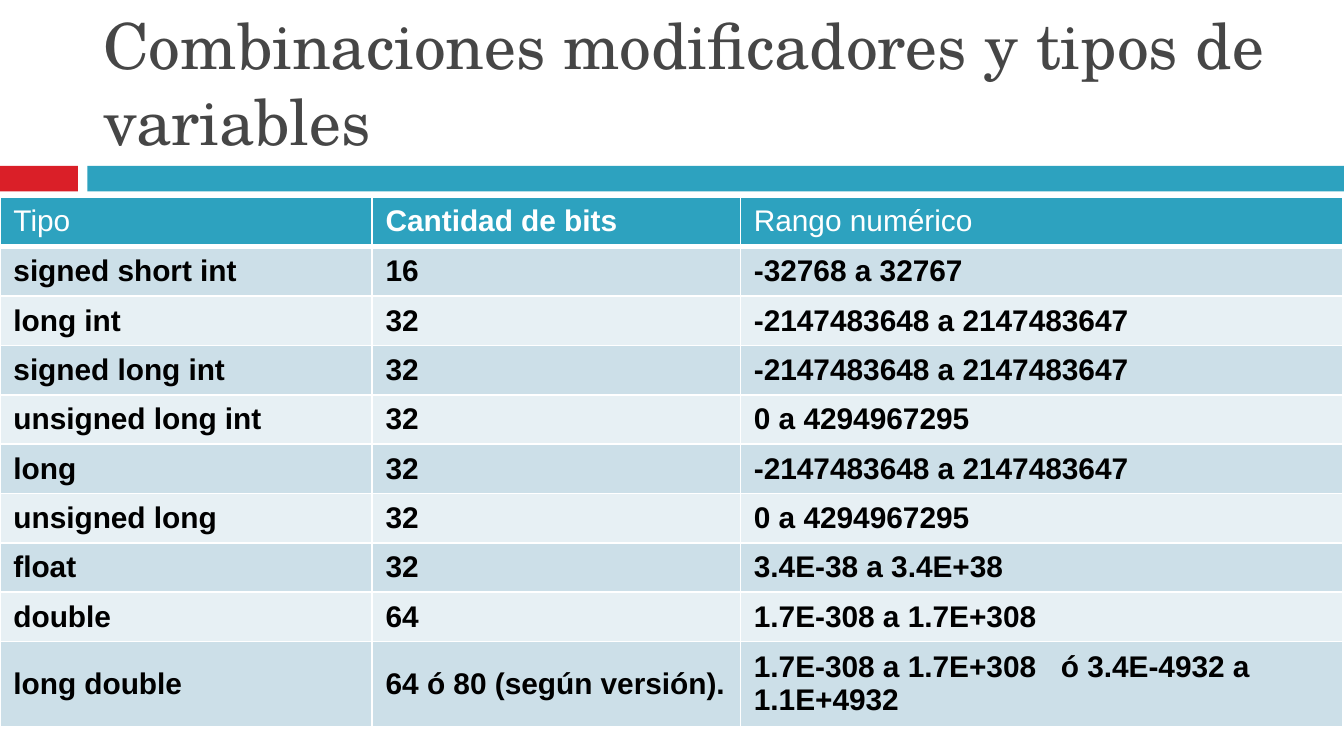
import pptx
import pptx.dml.color
import pptx.enum.shapes
import pptx.enum.text
import pptx.oxml
import pptx.oxml.ns
import pptx.util

Inches = pptx.util.Inches
Anchor = pptx.enum.text.MSO_ANCHOR

WIDTH = 10
HEIGHT = WIDTH * 9 / 16
RED, TEAL, WHITE, BLACK, GREY = "DA1F28", "2DA2BF", "FFFFFF", "000000", "464646"
BANDS = ("CCDFE8", "E7F0F4")

TITLE = "Combinaciones modificadores y tipos de variables"
HEADER = ("Tipo", "Cantidad de bits", "Rango numérico")
BOLD_HEADERS = {"Cantidad de bits"}
TYPES = [
    ("signed short int", "16", "-32768 a 32767"),
    ("long int", "32", "-2147483648 a 2147483647"),
    ("signed long int", "32", "-2147483648 a 2147483647"),
    ("unsigned long int", "32", "0 a 4294967295"),
    ("long", "32", "-2147483648 a 2147483647"),
    ("unsigned long", "32", "0 a 4294967295"),
    ("float", "32", "3.4E-38 a 3.4E+38"),
    ("double", "64", "1.7E-308 a 1.7E+308"),
    ("long double", "64 ó 80 (según versión).",
     "1.7E-308 a 1.7E+308   ó 3.4E-4932 a 1.1E+4932"),
]

BAR_TOP, BAR_HEIGHT = 1.235, 0.19
BARS = [(0, 0.58, RED), (0.65, WIDTH - 0.65, TEAL)]
TITLE_BOX = (0.67, 0.13, 8.92, 1.1)
TABLE_TOP = 1.47
TABLE_FRAME = 3.28
COLUMNS = (2.77, 2.74, 4.48)
ROWS = [0.34] * len(TYPES) + [0.6]


def color(value):
    return pptx.dml.color.RGBColor.from_string(value)


def paint(target, value):
    target.fill.solid()
    target.fill.fore_color.rgb = color(value)


def write(frame, text, font_color, **font_format):
    frame.text = text
    font = frame.paragraphs[0].runs[0].font
    font.color.rgb = color(font_color)
    for name, value in font_format.items():
        setattr(font, name, value)


def add_borders(cell, bottom):
    """Draw white 1 pt borders, with the bottom one as wide as given."""
    properties = cell._tc.get_or_add_tcPr()
    widths = {"lnL": 1, "lnR": 1, "lnT": 1, "lnB": bottom}
    for position, (side, points) in enumerate(widths.items()):
        properties.insert(position, pptx.oxml.parse_xml(
            f'<a:{side} {pptx.oxml.ns.nsdecls("a")} w="{pptx.util.Pt(points)}">'
            f'<a:solidFill><a:srgbClr val="{WHITE}"/></a:solidFill></a:{side}>'))


def add_bars(slide):
    for left, width, fill in BARS:
        bar = slide.shapes.add_shape(
            pptx.enum.shapes.MSO_SHAPE.RECTANGLE,
            *map(Inches, (left, BAR_TOP, width, BAR_HEIGHT)))
        bar.shadow.inherit = False
        paint(bar, fill)
        bar.line.fill.background()


def add_title(slide):
    frame = slide.shapes.add_textbox(*map(Inches, TITLE_BOX)).text_frame
    frame.word_wrap = True
    frame.vertical_anchor = Anchor.BOTTOM
    write(frame, TITLE, GREY, name="TeX Gyre Schola", size=pptx.util.Pt(34))


def add_types_table(slide):
    contents = [HEADER, *TYPES]
    table_frame = slide.shapes.add_table(
        len(ROWS), len(COLUMNS),
        *map(Inches, (0, TABLE_TOP, TABLE_FRAME, TABLE_FRAME)))
    table = table_frame.table
    for column, width in zip(table.columns, COLUMNS):
        column.width = Inches(width)
    for index, (row, height, texts) in enumerate(zip(table.rows, ROWS, contents)):
        row.height = Inches(height)
        is_header = index == 0
        for cell, text in zip(row.cells, texts):
            paint(cell, TEAL if is_header else BANDS[(index - 1) % 2])
            cell.vertical_anchor = Anchor.TOP if is_header else Anchor.MIDDLE
            write(cell.text_frame, text, WHITE if is_header else BLACK,
                  name="Arial", size=pptx.util.Pt(16),
                  bold=not is_header or text in BOLD_HEADERS)
            add_borders(cell, bottom=3 if is_header else 1)
    # Setting columns and rows resizes the frame; a small one keeps rows tight.
    table_frame.width = table_frame.height = Inches(TABLE_FRAME)


def main():
    presentation = pptx.Presentation()
    presentation.slide_width = Inches(WIDTH)
    presentation.slide_height = Inches(HEIGHT)
    slide = presentation.slides.add_slide(presentation.slide_layouts[6])
    add_bars(slide)
    add_title(slide)
    add_types_table(slide)
    presentation.save("out.pptx")


if __name__ == "__main__":
    main()
